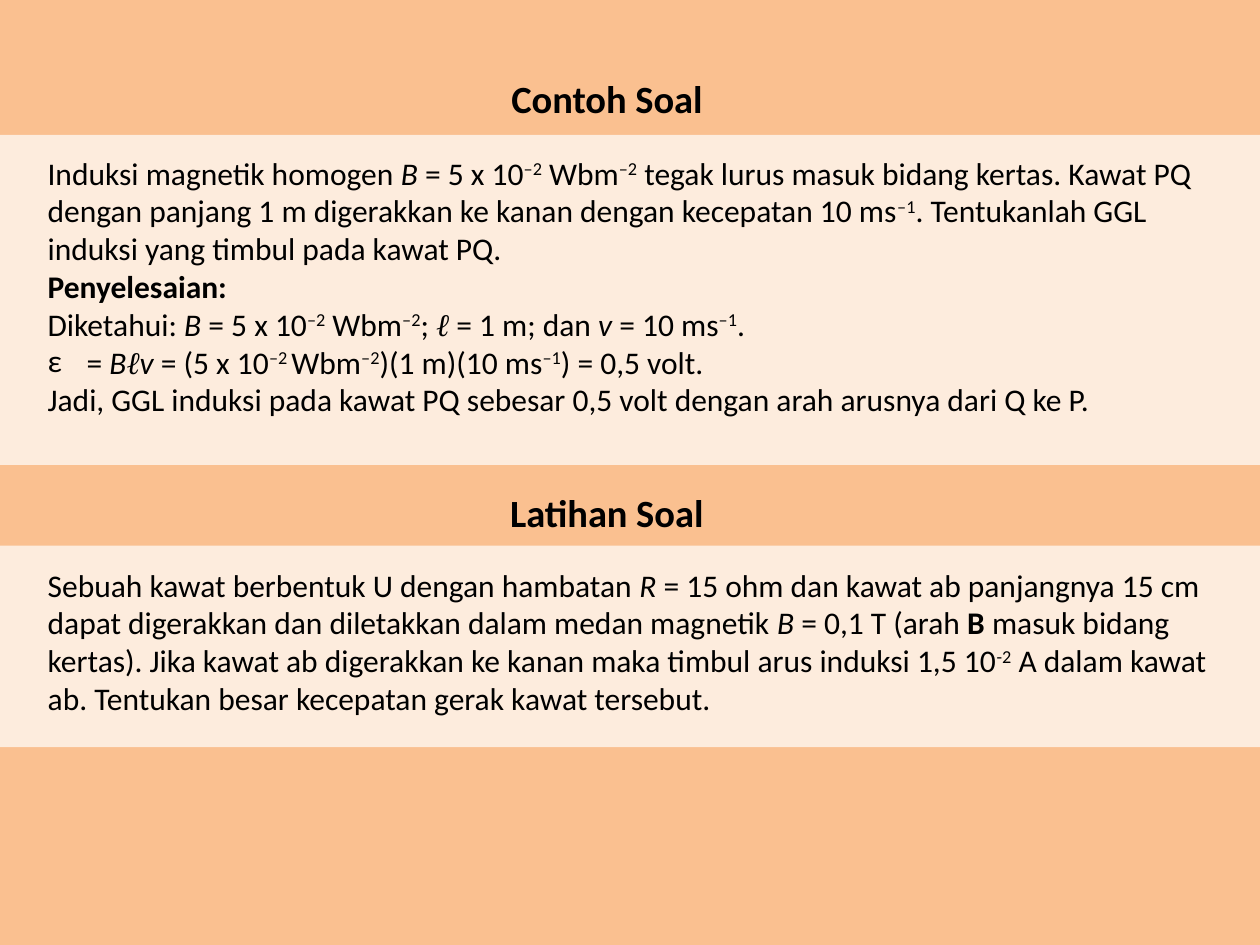
from lxml import etree
from pptx import Presentation
from pptx.dml.color import RGBColor
from pptx.enum.shapes import MSO_SHAPE
from pptx.enum.text import MSO_AUTO_SIZE, PP_ALIGN
from pptx.oxml.ns import qn
from pptx.util import Inches, Pt

RECT = MSO_SHAPE.RECTANGLE
GROW = MSO_AUTO_SIZE.SHAPE_TO_FIT_TEXT
LEFT = PP_ALIGN.LEFT
COLORS = {"page": "FAC090", "band": "FFFFFF", "text": "000000"}
FONT, MATH = "Calibri", "Times New Roman"

# Run styles: "i" italic, "b" bold, "^" superscript, "m" math letter
FIELD = [("B ", "i"), ("= 5 x 10", ""), ("–2", "^"), (" Wbm", ""), ("–2", "^")]
EXAMPLE = [
    [("Induksi magnetik homogen ", ""), *FIELD,
     (" tegak lurus masuk bidang kertas. Kawat PQ dengan panjang 1 m "
      "digerakkan ke kanan dengan kecepatan 10 ms", ""), ("–1", "^"),
     (". Tentukanlah GGL induksi yang timbul pada kawat PQ.", "")],
    [("Penyelesaian:", "b")],
    [("Diketahui: ", ""), *FIELD, ("; ", ""), ("ℓ", "im"),
     (" = 1 m; dan ", ""), ("v ", "i"), ("= 10 ms", ""), ("–1", "^"),
     (".", "")],
    [("= ", ""), ("B", "i"), ("ℓ", "im"), ("v ", "i"), ("= (5 x 10", ""),
     ("–2 ", "^"), ("Wbm", ""), ("–2", "^"), (")(1 m)(10 ms", ""),
     ("–1", "^"), (") = 0,5 volt.", "")],
    [("Jadi, GGL induksi pada kawat PQ sebesar 0,5 volt dengan arah "
      "arusnya dari Q ke P.", "")],
]
DRILL = [
    [("Sebuah kawat berbentuk U dengan hambatan ", ""), ("R", "i"),
     (" = 15 ohm dan kawat ab panjangnya 15 cm dapat digerakkan dan "
      "diletakkan dalam medan magnetik ", ""), ("B", "i"),
     (" = 0,1 T (arah ", ""), ("B ", "b"),
     ("masuk bidang kertas). Jika kawat ab digerakkan ke kanan maka "
      "timbul arus induksi 1,5 10", ""), ("-2", "^"),
     (" A dalam kawat ab. Tentukan besar kecepatan gerak kawat "
      "tersebut.", "")],
]


def add_band(slide, top, height, color, alpha=None):
    """Draw a full-width band, see-through if alpha (percent) is given."""
    band = slide.shapes.add_shape(
        RECT, 0, Inches(top), Inches(10), Inches(height))
    band.shadow.inherit = False
    band.line.fill.background()
    band.fill.solid()
    band.fill.fore_color.rgb = RGBColor.from_string(COLORS[color])
    if alpha:
        tint = band.fill._xPr.find(".//" + qn("a:srgbClr"))
        etree.SubElement(tint, qn("a:alpha"), val=str(alpha * 1000))


def add_run(para, text, style, size):
    run = para.add_run()
    run.text = text
    font = run.font
    font.size = Pt(size)
    font.name = MATH if "m" in style else FONT
    font.color.rgb = RGBColor.from_string(COLORS["text"])
    font.bold = "b" in style
    font.italic = "i" in style
    if "^" in style:
        font._element.set("baseline", "30000")


def add_bullet(para, char):
    """Give a paragraph a bullet and a hanging indent."""
    props = para._p.get_or_add_pPr()
    indent = Inches(0.31)
    props.set("marL", str(indent))
    props.set("indent", str(-indent))
    etree.SubElement(props, qn("a:buFont"), typeface=FONT)
    etree.SubElement(props, qn("a:buChar"), char=char)


def add_text(slide, place, paras, size=18, wrap=True, bullets=None):
    """Add a text box; bullets maps a paragraph's index to its bullet."""
    box = slide.shapes.add_textbox(*[Inches(n) for n in place])
    frame = box.text_frame
    frame.word_wrap = wrap
    frame.auto_size = GROW
    for i, runs in enumerate(paras):
        para = frame.paragraphs[0] if i == 0 else frame.add_paragraph()
        para.alignment = LEFT
        if bullets and i in bullets:
            add_bullet(para, bullets[i])
        for text, style in runs:
            add_run(para, text, style, size)


def add_title(slide, place, text):
    add_text(slide, place, [[(text, "b")]], size=22, wrap=False)


def main():
    prs = Presentation()
    prs.slide_width, prs.slide_height = Inches(10), Inches(7.5)
    slide = prs.slides.add_slide(prs.slide_layouts[6])

    # Backdrop
    add_band(slide, 0, 7.58, "page")

    # Worked example
    add_band(slide, 1.07, 2.62, "band", 70)
    add_text(slide, (0.28, 1.17, 9.56, 2.22), EXAMPLE, bullets={3: "ε"})
    add_title(slide, (3.96, 0.55, 1.74, 0.47), "Contoh Soal")

    # Exercise
    add_title(slide, (3.95, 3.83, 1.76, 0.47), "Latihan Soal")
    add_band(slide, 4.33, 1.6, "band", 70)
    add_text(slide, (0.28, 4.44, 9.51, 1.31), DRILL)

    prs.save("out.pptx")


if __name__ == "__main__":
    main()
